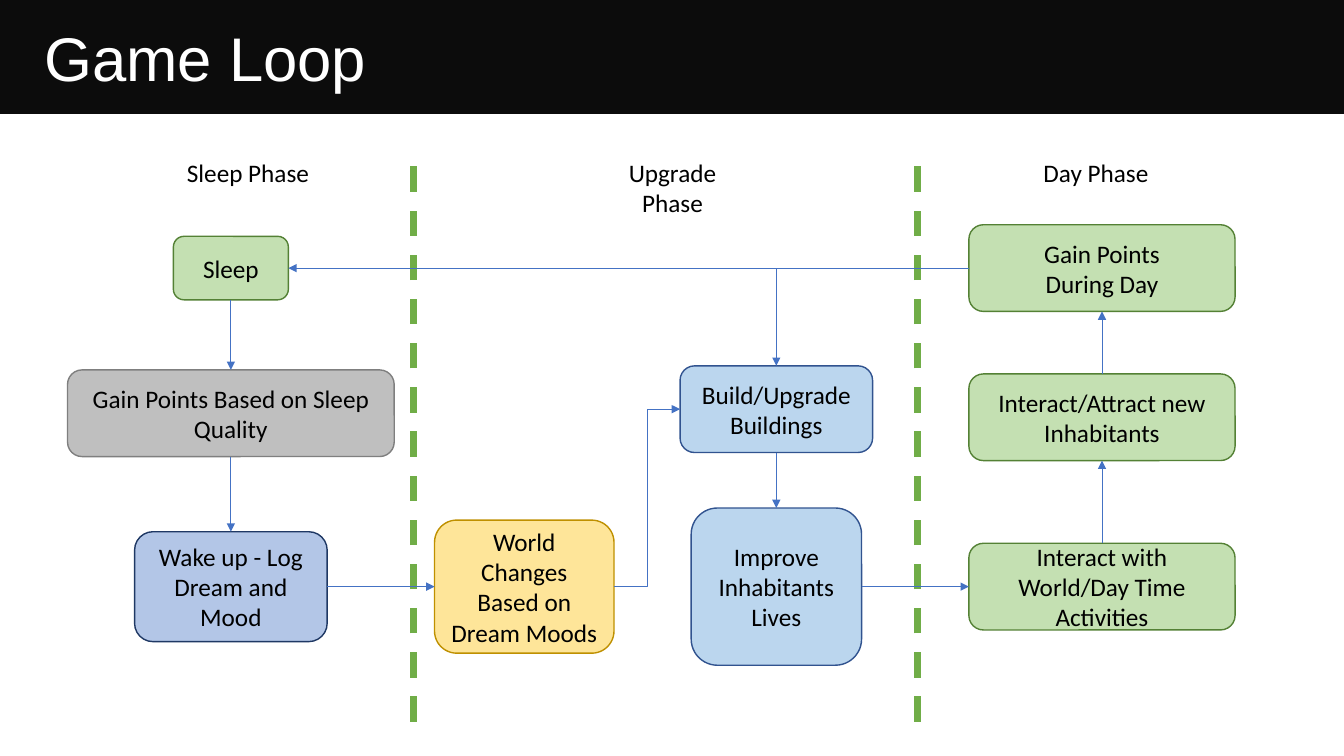
import pptx
import pptx.util
import pptx.dml.color
import pptx.enum.dml
import pptx.enum.shapes
import pptx.enum.text
import pptx.oxml.ns
from lxml import etree

WIDE, HIGH = 13.33, 7.5
COLS = {"sleep": 2.29, "world": 5.2, "build": 7.7, "day": 10.93}
ROWS = {"top": 2.66, "mid": 4.1, "low": 5.82}
TOP, LEFT, BOTTOM, RIGHT = range(4)

THEME = {
    "font": "Calibri", "head": "Arial", "size": 18, "big": 44,
    "ink": "000000", "dark": "0C0C0C", "white": "FFFFFF",
    "arrow": "4472C4", "split": "70AD47",
    "green": ("C4E0B2", "548135"), "gray": ("BFBFBF", "7F7F7F"),
    "sky": ("BBD6EE", "31538F"), "blue": ("B3C6E7", "1F3864"),
    "gold": ("FEE599", "BF9000"),
}

TITLE = "Game Loop"
BAR = 1.13
# text, centre x, height
PHASES = [("Sleep Phase", 2.46, 0.4), ("Upgrade Phase", 6.67, 0.71),
          ("Day Phase", 10.87, 0.4)]
SPLITS = (4.1, 9.1)

# name: lines, column, row, shift down, width, height, colour
STEPS = {
    "sleep": (["Sleep"], "sleep", "top", 0, 1.14, 0.63, "green"),
    "rest": (["Gain Points Based on Sleep Quality"],
             "sleep", "mid", 0, 3.24, 0.86, "gray"),
    "wake": (["Wake up - Log Dream and Mood"],
             "sleep", "low", 0, 1.91, 1.09, "blue"),
    "world": (["World Changes", "Based on Dream Moods"],
              "world", "low", 0, 1.78, 1.32, "gold"),
    "build": (["Build/Upgrade Buildings"],
              "build", "mid", -0.04, 1.91, 0.86, "sky"),
    "lives": (["Improve Inhabitants", "Lives"],
              "build", "low", 0, 1.69, 1.56, "sky"),
    "act": (["Interact with World/Day Time Activities"],
            "day", "low", 0, 2.64, 0.86, "green"),
    "meet": (["Interact/Attract new Inhabitants"],
             "day", "mid", 0.04, 2.64, 0.86, "green"),
    "gain": (["Gain Points", "During Day"],
             "day", "top", 0, 2.64, 0.86, "green"),
}

# from, side, to, side, preset
LINKS = [
    ("sleep", BOTTOM, "rest", TOP, "line"),
    ("rest", BOTTOM, "wake", TOP, "line"),
    ("wake", RIGHT, "world", LEFT, "line"),
    ("world", RIGHT, "build", LEFT, "bentConnector3"),
    ("build", BOTTOM, "lives", TOP, "line"),
    ("lives", RIGHT, "act", LEFT, "line"),
    ("act", TOP, "meet", BOTTOM, "line"),
    ("meet", TOP, "gain", BOTTOM, "line"),
    ("gain", LEFT, "sleep", RIGHT, "line"),
    ("gain", LEFT, "build", TOP, "bentConnector2"),
]

inch = pptx.util.Inches
Kind = pptx.enum.shapes.MSO_SHAPE
Wire = pptx.enum.shapes.MSO_CONNECTOR
Align = pptx.enum.text.PP_ALIGN
Anchor = pptx.enum.text.MSO_ANCHOR


def rgb(code):
    return pptx.dml.color.RGBColor.from_string(code)


def write(shape, lines, size=THEME["size"], font=THEME["font"],
          color=THEME["ink"], align=Align.CENTER, anchor=Anchor.MIDDLE,
          left=0.1):
    frame = shape.text_frame
    frame.word_wrap = True
    frame.vertical_anchor = anchor
    frame.margin_left = inch(left)
    frame.text = "\n".join(lines)
    for para in frame.paragraphs:
        para.alignment = align
        para.font.size = pptx.util.Pt(size)
        para.font.name = font
        para.font.color.rgb = rgb(color)


def block(slide, kind, x, y, wide, high, fill, edge=None):
    shape = slide.shapes.add_shape(
        kind, inch(x), inch(y), inch(wide), inch(high))
    shape.shadow.inherit = False
    shape.fill.solid()
    shape.fill.fore_color.rgb = rgb(fill)
    if edge:
        shape.line.color.rgb = rgb(edge)
        shape.line.width = pptx.util.Pt(1)
    else:
        shape.line.fill.background()
    return shape


def wire(slide, kind, color, width, ends=(0, 0, 0, 0)):
    line = slide.shapes.add_connector(kind, *[inch(v) for v in ends])
    line.line.color.rgb = rgb(color)
    line.line.width = pptx.util.Pt(width)
    etree.SubElement(line._element.spPr, pptx.oxml.ns.qn("a:effectLst"))
    return line


def link(slide, start, out, stop, into, preset):
    """Join two steps with an arrow from one side to another."""
    kind = Wire.STRAIGHT if preset == "line" else Wire.ELBOW
    line = wire(slide, kind, THEME["arrow"], 0.75)
    line.begin_connect(start, out)
    line.end_connect(stop, into)
    line._element.spPr.find(pptx.oxml.ns.qn("a:prstGeom")).set("prst", preset)
    etree.SubElement(line.line._get_or_add_ln(),
                     pptx.oxml.ns.qn("a:tailEnd"), type="triangle")


def main():
    deck = pptx.Presentation()
    deck.slide_width, deck.slide_height = inch(WIDE), inch(HIGH)
    slide = deck.slides.add_slide(deck.slide_layouts[6])

    bar = block(slide, Kind.RECTANGLE, 0, 0, WIDE, BAR, THEME["dark"])
    write(bar, [TITLE], size=THEME["big"], font=THEME["head"],
          color=THEME["white"], align=Align.LEFT, left=0.44)

    for text, mid, high in PHASES:
        label = slide.shapes.add_textbox(
            inch(mid - 0.8), inch(1.51), inch(1.6), inch(high))
        write(label, [text], anchor=Anchor.TOP)

    for x in SPLITS:
        line = wire(slide, Wire.STRAIGHT, THEME["split"], 4.5,
                    (x, 7.16, x, 1.61))
        line.line.dash_style = pptx.enum.dml.MSO_LINE.DASH

    steps = {}
    for name, (lines, col, row, shift, wide, high, tone) in STEPS.items():
        x = COLS[col] - wide / 2
        y = ROWS[row] + shift - high / 2
        steps[name] = block(slide, Kind.ROUNDED_RECTANGLE, x, y, wide, high,
                            *THEME[tone])
        write(steps[name], lines)

    for start, out, stop, into, preset in LINKS:
        link(slide, steps[start], out, steps[stop], into, preset)

    deck.save("out.pptx")


if __name__ == "__main__":
    main()
